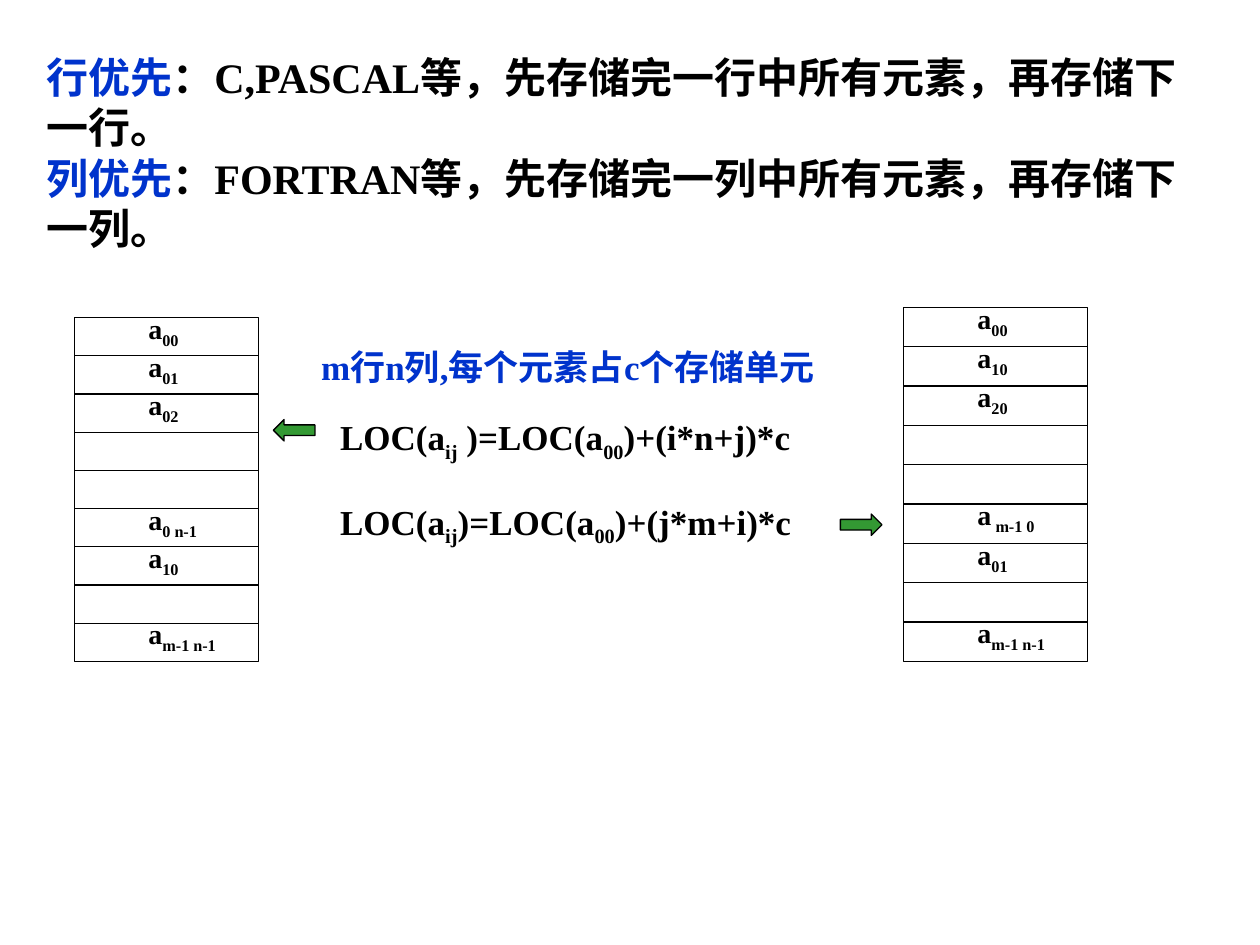
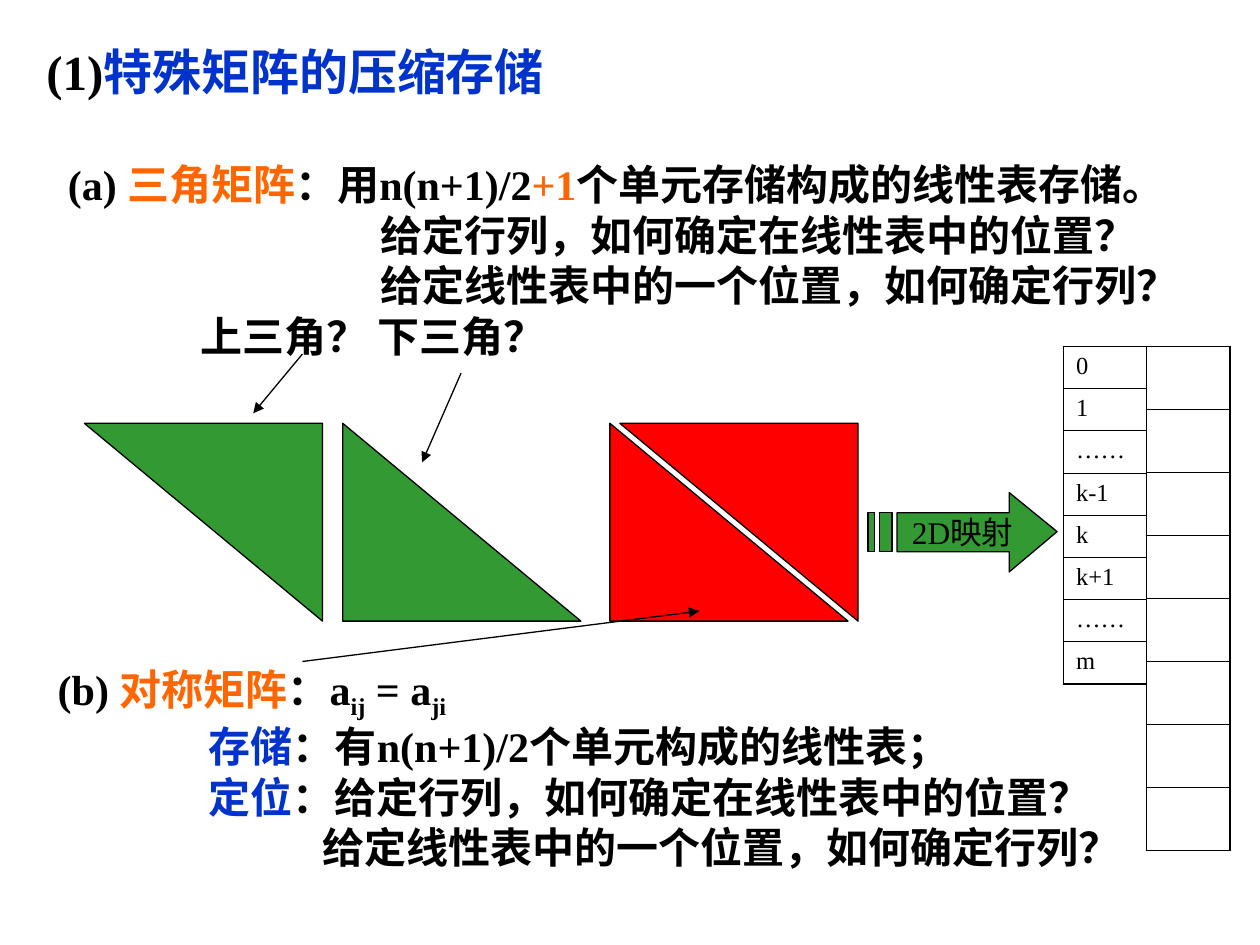
from dataclasses import dataclass
from lxml import etree
from pptx import Presentation
from pptx.dml.color import RGBColor
from pptx.enum.shapes import MSO_CONNECTOR, MSO_SHAPE
from pptx.enum.text import MSO_ANCHOR, MSO_AUTO_SIZE, PP_ALIGN
from pptx.oxml import parse_xml
from pptx.oxml.ns import nsdecls, qn
from pptx.util import Inches, Pt

LINE = MSO_CONNECTOR.STRAIGHT
RECT = MSO_SHAPE.RECTANGLE
WEDGE = MSO_SHAPE.RIGHT_TRIANGLE
LEFT = MSO_SHAPE.LEFT_ARROW
RIGHT = MSO_SHAPE.RIGHT_ARROW
GROW = MSO_AUTO_SIZE.SHAPE_TO_FIT_TEXT
MID = MSO_ANCHOR.MIDDLE
CENTER = PP_ALIGN.CENTER


@dataclass(frozen=True)
class Theme:
    face: str = "Times New Roman"
    ink: str = "000000"
    blue: str = "0033CC"
    gold: str = "FF6600"
    green: str = "339933"
    red: str = "FF0000"
    head: int = 28
    body: int = 24
    math: int = 20
    flow: int = 18
    cell: int = 16
    table: int = 14
    thin: float = 0.75
    inner: float = 0.45
    outer: float = 1.08


@dataclass
class Row:
    runs: list
    size: int = Theme.body
    dent: float = 0
    gap: float = 0


class Deck:
    def __init__(self):
        self.look = Theme()
        self.prs = Presentation()
        self.prs.slide_width = Inches(10)
        self.prs.slide_height = Inches(7.5)
        self.shapes = None

    def page(self):
        self.shapes = self.prs.slides.add_slide(self.prs.slide_layouts[6]).shapes

    def style(self, font, size, color=None, bold=False):
        font.name = self.look.face
        font.size = Pt(size)
        font.bold = bold
        font.color.rgb = RGBColor.from_string(color or self.look.ink)

    def text(self, x, y, w, h, rows):
        frame = self.shapes.add_textbox(Inches(x), Inches(y), Inches(w), Inches(h)).text_frame
        frame.word_wrap = True
        frame.auto_size = GROW
        for i, row in enumerate(rows):
            para = frame.add_paragraph() if i else frame.paragraphs[0]
            if row.dent:
                para._p.get_or_add_pPr().set("marL", str(Inches(row.dent)))
                para._p.get_or_add_pPr().set("indent", "0")
            if row.gap:
                para.space_before = Pt(row.gap)
            for words, *mark in row.runs:
                run = para.add_run()
                run.text = words
                low = "low" in mark
                self.style(run.font, row.size, None if low or not mark else mark[0], True)
                if low:
                    run.font._element.set("baseline", "-25000")

    def paint(self, shape, fill):
        shape.shadow.inherit = False
        if fill:
            shape.fill.solid()
            shape.fill.fore_color.rgb = RGBColor.from_string(fill)
        else:
            shape.fill.background()
        shape.line.color.rgb = RGBColor.from_string(self.look.ink)
        shape.line.width = Pt(self.look.thin)

    def shape(self, kind, x, y, w, h, fill=None, turn=0):
        shape = self.shapes.add_shape(kind, Inches(x), Inches(y), Inches(w), Inches(h))
        shape.rotation = turn
        self.paint(shape, fill)

    def line(self, x1, y1, x2, y2, arrow=False):
        line = self.shapes.add_connector(LINE, Inches(x1), Inches(y1), Inches(x2), Inches(y2))
        line.line.color.rgb = RGBColor.from_string(self.look.ink)
        line.line.width = Pt(self.look.thin)
        if arrow:
            etree.SubElement(line.line._get_or_add_ln(), qn("a:tailEnd"), type="triangle")
        etree.SubElement(line._element.spPr, qn("a:effectLst"))

    def stack(self, x, y, w, h, names):
        step = h / len(names)
        self.shape(RECT, x, y, w, h)
        for i in range(1, len(names)):
            self.line(x, y + i * step, x + w, y + i * step)
        for i, name in enumerate(names):
            if name:
                runs = [("a",), (name, "low")]
                self.text(x + 0.49, y - 0.1 + i * step, 1.1, 0.41, [Row(runs, self.look.cell)])

    def edge(self, cell, side, width):
        cell._tc.get_or_add_tcPr().append(parse_xml(
            f'<a:{side} {nsdecls("a")} w="{Pt(width)}"><a:solidFill>'
            f'<a:srgbClr val="{self.look.ink}"/></a:solidFill></a:{side}>'))

    def table(self, x, y, w, step, names):
        last = len(names) - 1
        grid = self.shapes.add_table(len(names), 1, Inches(x), Inches(y), Inches(w),
                                     Inches(step * len(names))).table
        grid.first_row = grid.horz_banding = False
        for i, name in enumerate(names):
            grid.rows[i].height = Inches(step)
            cell = grid.cell(i, 0)
            cell.text = name
            self.style(cell.text_frame.paragraphs[0].font, self.look.table)
            for run in cell.text_frame.paragraphs[0].runs:
                self.style(run.font, self.look.table)
            self.edge(cell, "lnL", self.look.outer)
            self.edge(cell, "lnR", self.look.outer)
            self.edge(cell, "lnT", self.look.inner if i else self.look.outer)
            self.edge(cell, "lnB", self.look.inner if i < last else self.look.outer)
            cell.fill.background()

    def free(self, loops, fill, words):
        loops = [[(Inches(x), Inches(y)) for x, y in loop] for loop in loops]
        pen = self.shapes.build_freeform(*loops[0][0], scale=1.0)
        pen.add_line_segments(loops[0][1:], close=True)
        for loop in loops[1:]:
            pen.move_to(*loop[0])
            pen.add_line_segments(loop[1:], close=True)
        shape = pen.convert_to_shape()
        self.paint(shape, fill)
        frame = shape.text_frame
        frame.text = words
        frame.word_wrap = False
        frame.vertical_anchor = MID
        frame.paragraphs[0].alignment = CENTER
        self.style(frame.paragraphs[0].runs[0].font, self.look.flow)


def order(deck):
    look = deck.look
    deck.page()
    deck.text(0.27, 0.36, 9.37, 1.7, [
        Row([("行优先", look.blue), ("：C,PASCAL等，先存储完一行中所有元素，再存储下一行。",)]),
        Row([("列优先", look.blue), ("：FORTRAN等，先存储完一列中所有元素，再存储下一列。",)]),
    ])
    deck.stack(0.59, 2.52, 1.46, 2.73,
               ["00", "01", "02", "", "", "0 n-1", "10", "", "m-1 n-1"])
    deck.stack(7.17, 2.44, 1.46, 2.81,
               ["00", "10", "20", "", "", " m-1 0", "01", "", "m-1 n-1"])
    for y, join, tail in ((3.25, " )=LOC(a", ")+(i*n+j)*c"), (3.92, ")=LOC(a", ")+(j*m+i)*c")):
        runs = [("LOC(a",), ("ij", "low"), (join,), ("00", "low"), (tail,)]
        deck.text(2.6, y, 3.95, 0.48, [Row(runs, look.math)])
    deck.shape(LEFT, 2.17, 3.33, 0.33, 0.17, look.green)
    deck.shape(RIGHT, 6.67, 4.08, 0.33, 0.17, look.green)
    note = Row([("m行n列,每个元素占c个存储单元", look.blue)], look.math)
    deck.text(2.45, 2.69, 4.72, 0.44, [note])


def pack(deck):
    look = deck.look
    find = "给定行列，如何确定在线性表中的位置？"
    back = "给定线性表中的一个位置，如何确定行列？"
    deck.page()
    deck.text(0.27, 0.28, 9.53, 6.69, [
        Row([("(1)",), ("特殊矩阵的压缩存储", look.blue)], look.head),
        Row([("(a) ",), ("三角矩阵", look.gold), ("：用n(n+1)/2",), ("+1", look.gold),
             ("个单元存储构成的线性表存储。",)], dent=0.17, gap=33.5),
        Row([(find,)], dent=2.65),
        Row([(back,)], dent=2.65),
        Row([("上三角？ 下三角？",)], dent=1.22),
        Row([("(b) ",), ("对称矩阵", look.gold), ("：a",), ("ij", "low"), (" = a",),
             ("ji", "low")], dent=0.09, gap=173),
        Row([("存储", look.blue), ("：有n(n+1)/2个单元构成的线性表；",)], dent=1.29),
        Row([("定位", look.blue), ("：" + find,)], dent=1.29),
        Row([(back,)], dent=2.19),
    ])
    deck.table(8.44, 2.75, 0.66, 0.335, ["0", "1", "……", "k-1", "k", "k+1", "……", "m"])
    for x, fill, turn in ((0.67, look.green, 180), (2.72, look.green, 0),
                          (4.92, look.red, 180), (4.84, look.red, 0)):
        deck.shape(WEDGE, x, 3.36, 1.89, 1.57, fill, turn)
    for ends in ((2.4, 2.81, 2.01, 3.28), (3.66, 2.96, 3.35, 3.67), (2.4, 5.25, 5.55, 4.85)):
        deck.line(*ends, arrow=True)
    top, base = 4.07, 4.38
    arrow = [(8.01, 3.91), (8.01, top), (7.12, top), (7.12, base),
             (8.01, base), (8.01, 4.54), (8.39, 4.22)]
    bars = [[(a, top), (a, base), (b, base), (b, top)] for a, b in ((6.98, 7.08), (6.89, 6.94))]
    deck.free([arrow, *bars], look.green, "2D映射")
    deck.table(9.1, 2.75, 0.66, 0.5, [""] * 8)


def main():
    deck = Deck()
    order(deck)
    pack(deck)
    deck.prs.save("out.pptx")


if __name__ == "__main__":
    main()
